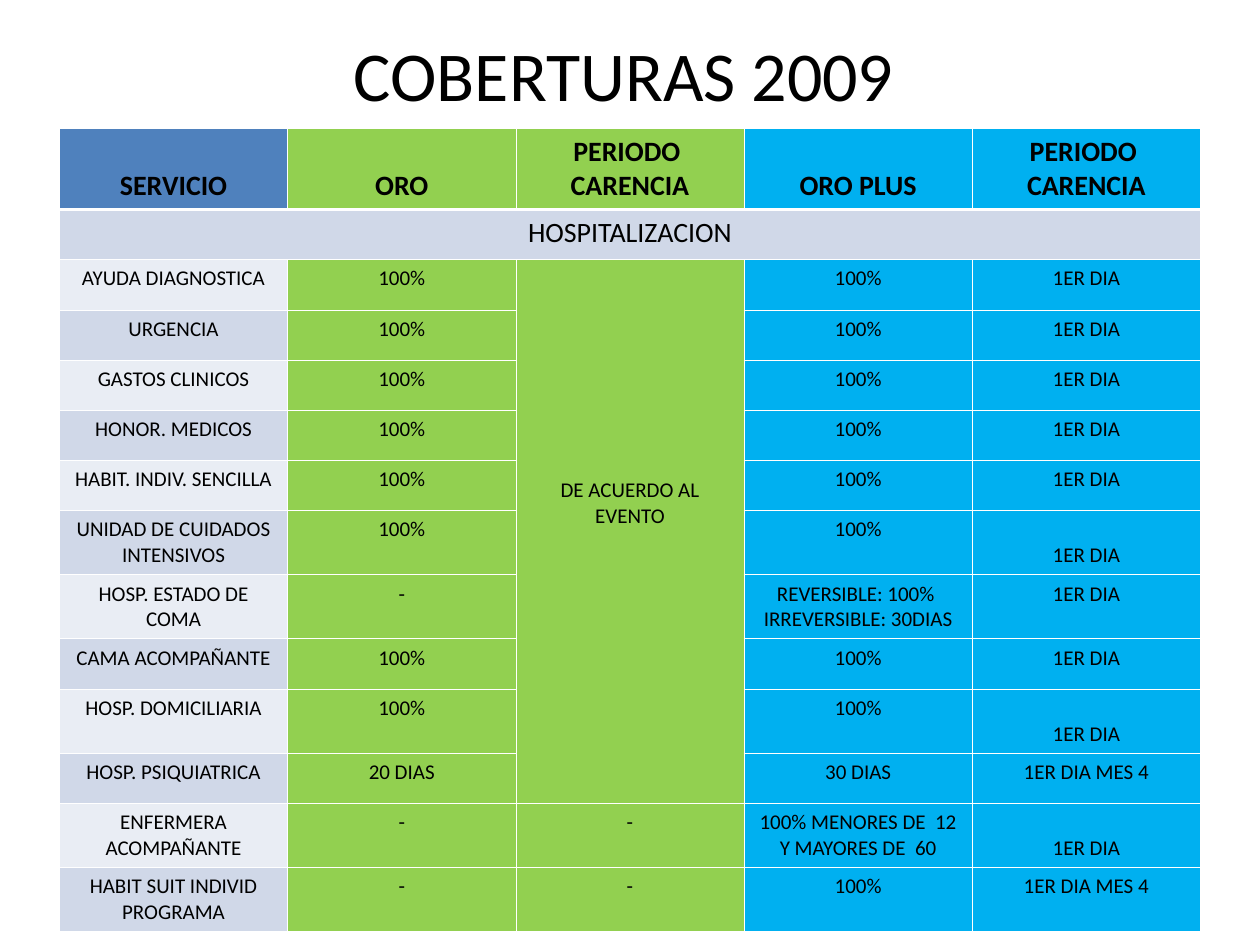
from lxml import etree
from pptx import Presentation
from pptx.dml.color import RGBColor
from pptx.enum import text as t
from pptx.oxml.ns import qn
from pptx.util import Pt

THEME = dict(
    font="Calibri", ink="000000", rule="FFFFFF",
    blue="4F81BD", green="92D050", sky="00B0F0", dark="D0D8E8", light="E9EDF4",
    title=40, head=16, body=12, thin=0.45, thick=1.47,
)
TOP, MID, LOW = t.MSO_ANCHOR.TOP, t.MSO_ANCHOR.MIDDLE, t.MSO_ANCHOR.BOTTOM


def write(frame, text, size="body", bold=False):
    para = frame.paragraphs[0]
    para.alignment = t.PP_ALIGN.CENTER
    run = para.add_run()
    run.text = text
    font = run.font
    font.name, font.size, font.bold = THEME["font"], Pt(THEME[size]), bold
    font.color.rgb = RGBColor.from_string(THEME["ink"])


def border(cell, **widths):
    """Draw the sides of a cell; widths maps L, R, T and B to points."""
    props = cell._tc.get_or_add_tcPr()
    for spot, (side, width) in enumerate(widths.items()):
        line = etree.Element(qn(f"a:ln{side}"), w=str(Pt(width)))
        fill = etree.SubElement(line, qn("a:solidFill"))
        etree.SubElement(fill, qn("a:srgbClr"), val=THEME["rule"])
        props.insert(spot, line)


ONE, FULL = "1ER DIA", "100%"
HEAD = ["SERVICIO", "ORO", "PERIODO  CARENCIA", "ORO PLUS", "PERIODO  CARENCIA"]
ROWS = [
    HEAD,
    ["HOSPITALIZACION", "", "", "", ""],
    ["AYUDA DIAGNOSTICA", FULL, "DE ACUERDO AL EVENTO", FULL, ONE],
    ["URGENCIA", FULL, "", FULL, ONE],
    ["GASTOS CLINICOS", FULL, "", FULL, ONE],
    ["HONOR. MEDICOS", FULL, "", FULL, ONE],
    ["HABIT. INDIV. SENCILLA", FULL, "", FULL, ONE],
    ["UNIDAD DE CUIDADOS INTENSIVOS", FULL, "", FULL, ONE],
    ["HOSP. ESTADO DE COMA", "-", "", "REVERSIBLE: 100%  IRREVERSIBLE: 30DIAS", ONE],
    ["CAMA ACOMPAÑANTE", FULL, "", FULL, ONE],
    ["HOSP. DOMICILIARIA", FULL, "", FULL, ONE],
    ["HOSP. PSIQUIATRICA", "20 DIAS", "", "30 DIAS", "1ER DIA MES 4"],
    ["ENFERMERA ACOMPAÑANTE", "-", "-", "100% MENORES DE  12 Y MAYORES DE  60", ONE],
    ["HABIT SUIT INDIVID PROGRAMA", "-", "-", FULL, "1ER DIA MES 4"],
]
TALL = {7, 8, 10, 12, 13}
LOWERED = {(7, 4), (10, 4), (12, 4)}
COLORS = ["blue", "green", "green", "sky", "sky"]
WIDTH, HEADROW, ROW, TALLROW = 130.4, 46.2, 28.7, 36.6

deck = Presentation()
deck.slide_width, deck.slide_height = Pt(720), Pt(540)
slide = deck.slides.add_slide(deck.slide_layouts[5])

title = slide.shapes.title
title.left, title.top, title.width, title.height = Pt(50.4), Pt(16.6), Pt(612), Pt(50.4)
title.text_frame.vertical_anchor = MID
write(title.text_frame, "COBERTURAS 2009", size="title")

highs = [HEADROW] + [TALLROW if r in TALL else ROW for r in range(1, len(ROWS))]
frame = slide.shapes.add_table(
    len(ROWS), len(HEAD), Pt(34), Pt(73.4), Pt(WIDTH * len(HEAD)), Pt(sum(highs)))
table = frame.table
table.first_row = table.horz_banding = False
for col in table.columns:
    col.width = Pt(WIDTH)

for r, texts in enumerate(ROWS):
    table.rows[r].height = Pt(highs[r])
    for c, words in enumerate(texts):
        cell = table.cell(r, c)
        cell.margin_left = cell.margin_right = Pt(7.2)
        cell.margin_top = cell.margin_bottom = Pt(3.6)
        cell.vertical_anchor = LOW if r == 0 or (r, c) in LOWERED else TOP
        color = COLORS[c]
        if r == 1 or (r > 1 and c == 0):
            color = "dark" if r % 2 else "light"
        cell.fill.solid()
        cell.fill.fore_color.rgb = RGBColor.from_string(THEME[color])
        thin, thick = THEME["thin"], THEME["thick"]
        border(cell, L=thin, R=thin, T=thick if r == 1 else thin, B=thick if r == 0 else thin)
        if words:
            write(cell.text_frame, words, size="head" if r < 2 else "body", bold=r == 0)

table.cell(1, 0).merge(table.cell(1, 4))
event = table.cell(2, 2)
event.merge(table.cell(11, 2))
event.vertical_anchor = MID
event.margin_bottom = Pt(36)

deck.save("out.pptx")
